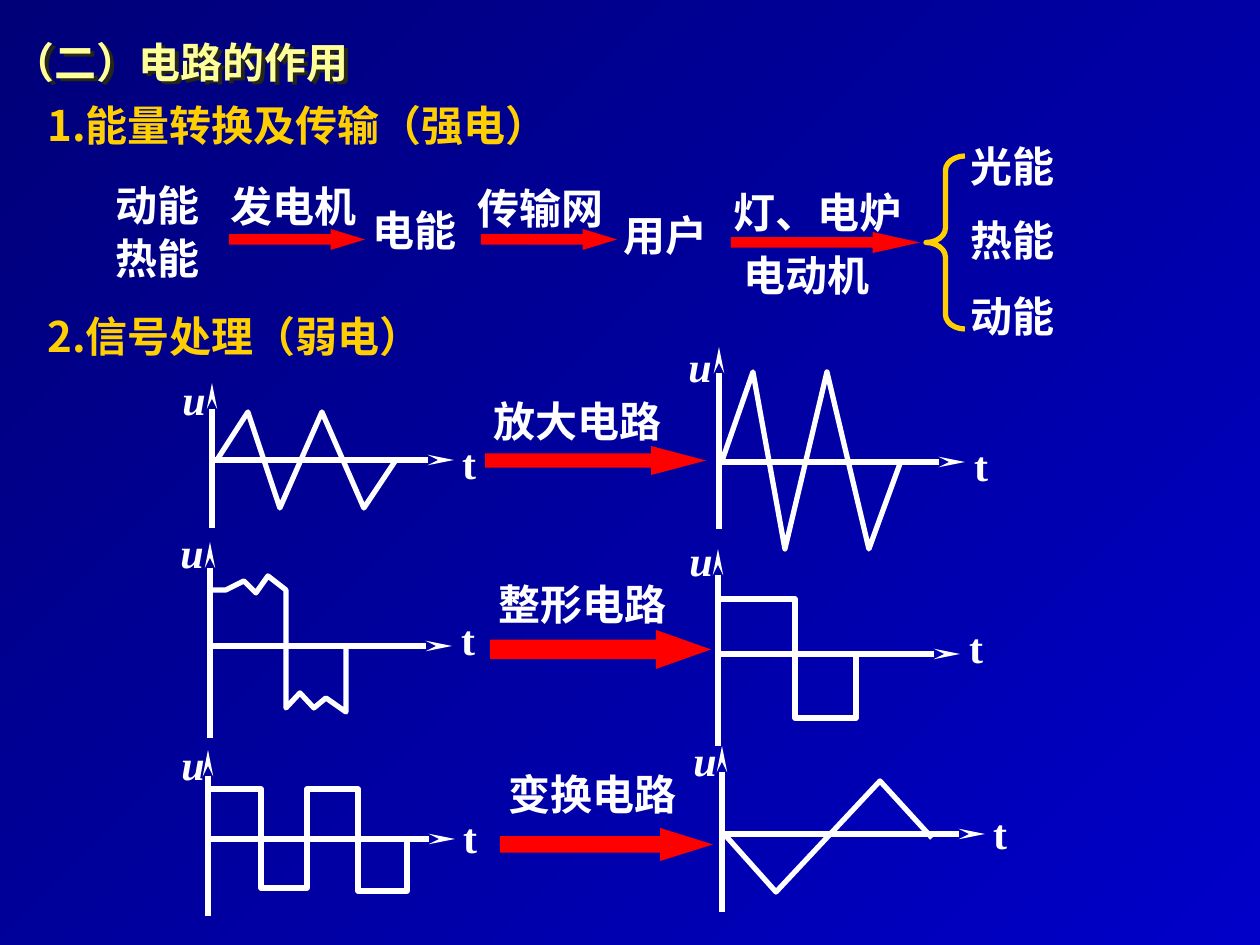
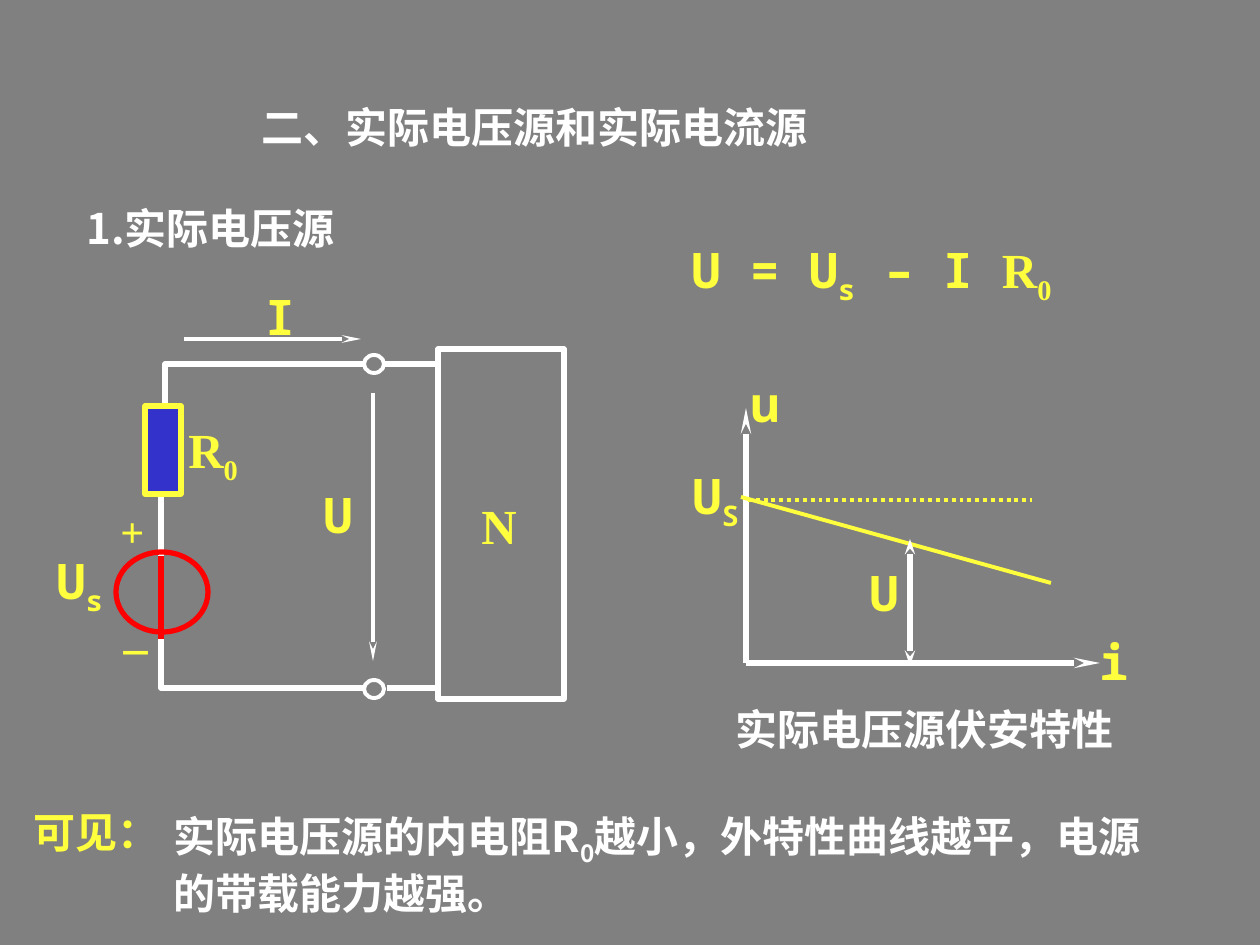
from itertools import zip_longest
from lxml.etree import SubElement as Sub
from pptx import Presentation
from pptx.dml.color import RGBColor as RGB
from pptx.enum.dml import MSO_LINE as Dash
from pptx.enum.shapes import MSO_CONNECTOR as Link, MSO_SHAPE as Kind
from pptx.enum.text import MSO_ANCHOR as Anchor, MSO_AUTO_SIZE as Fit, PP_ALIGN as Align
from pptx.oxml.ns import qn
from pptx.util import Pt

PX = 914400 / 126
CJK, MONO, TIMES = "Noto Sans CJK SC", "Noto Sans Mono", "Times New Roman"
HEX = {
    "white": "FFFFFF", "cream": "FFFF99", "gold": "FFCF01", "yellow": "FFFF3D",
    "red": "FF0000", "blue": "3333CC", "gray": "808080", "shade": "262619",
    "dark": "000078", "light": "0000C8",
}

# Slide 1: (left, top, width, text)
HEADS = [
    (35, 93, 680, "1.能量转换及传输（强电）"),
    (35, 304, 471, "2.信号处理（弱电）"),
]
WORDS = [
    (103, 173, 179, "动能"), (103, 226, 179, "热能"),
    (218, 174, 179, "发电机"), (360, 198, 179, "电能"),
    (465, 176, 179, "传输网"), (611, 203, 179, "用户"),
    (721, 180, 210, "灯、电炉"), (731, 243, 210, "电动机"),
    (958, 134, 179, "光能"), (958, 208, 179, "热能"), (958, 284, 179, "动能"),
    (481, 389, 207, "放大电路"), (486, 572, 207, "整形电路"),
    (496, 762, 207, "变换电路"),
]
# Block arrows: (left, top, width, height, head length over height)
BLOCKS = [
    (229, 229, 136, 21, 1.63), (481, 229, 136, 21, 1.63), (731, 232, 189, 21, 2.25),
    (485, 446, 221, 29, 1.89), (490, 630, 221, 39, 1.41), (500, 828, 213, 33, 1.6),
]
# Signal graphs: u axis at x from top to foot, t axis at y up to end,
# centre and top of both labels, points of the curve
GRAPHS = [
    dict(x=212, top=383, foot=528, y=460, end=454, u=(194, 367), t=(469, 431),
         curve=[(217, 460), (248, 412), (280, 508), (322, 412), (364, 508), (396, 460)]),
    dict(x=719, top=347, foot=529, y=462, end=965, u=(700, 334), t=(981, 433),
         curve=[(722, 461), (753, 372), (785, 549), (827, 372), (869, 549), (901, 461)]),
    dict(x=210, top=542, foot=738, y=646, end=452, u=(192, 520), t=(468, 607),
         curve=[(210, 590), (226, 590), (244, 581), (256, 593), (268, 576), (286, 590),
                (286, 708), (300, 693), (314, 708), (326, 698), (346, 712), (346, 648)]),
    dict(x=718, top=549, foot=746, y=654, end=960, u=(701, 528), t=(976, 615),
         curve=[(719, 599), (795, 599), (795, 718), (856, 718), (856, 654)]),
    dict(x=208, top=750, foot=916, y=839, end=455, u=(193, 732), t=(470, 805),
         curve=[(208, 789), (261, 789), (261, 888), (307, 888), (307, 789), (358, 789),
                (358, 891), (407, 891), (407, 838)]),
    dict(x=722, top=746, foot=912, y=834, end=985, u=(705, 728), t=(1000, 801),
         curve=[(725, 835), (776, 892), (880, 781), (932, 838)]),
]

# Slide 2: odd parts between bars are subscripts
NOTES = [
    (723, 697, 436, 63, "实际电压源伏安特性", "white"),
    (21, 800, 186, 63, "可见：", "yellow"),
    (161, 804, 1015, 113, "实际电压源的内电阻R|0|越小，外特性曲线越平，电源的带载能力越强。", "white"),
]
SIGNS = [
    (679, 233, 408, "U = U|s| – I ||R|0", [MONO] * 4 + [TIMES] * 2),
    (44, 544, 117, "U|s", MONO), (253, 280, 78, "I", MONO), (311, 478, 78, "U", MONO),
    (176, 413, 93, "R|0", TIMES), (469, 489, 97, "N", TIMES),
    (1087, 625, 77, "i", MONO), (738, 367, 77, "u", MONO),
    (857, 556, 77, "U", MONO), (680, 459, 105, "U|S", MONO),
]
POLES = [(108, 499, 69, "+", 24), (106, 625, 92, "－", 20)]
WIRES = [
    [(161, 556), (161, 496)],
    [(165, 403), (165, 364), (364, 364)],
    [(161, 634), (161, 688), (364, 688)],
    [(384, 364), (435, 364)],
    [(387, 688), (438, 688)],
]
# Lines: from, to, format
LINES = [
    ((161, 556), (161, 639), dict(color="red")),
    ((373, 393), (373, 661), dict(width=2.25, tail="lg")),
    ((184, 339), (361, 339), dict(width=2.25, tail="lg")),
    ((746, 663), (1100, 663), dict(tail="lg")),
    ((746, 408), (746, 663), dict(head="lg")),
    ((748, 500), (1032, 500), dict(color="yellow", width=2.25, dash=Dash.ROUND_DOT)),
    ((741, 497), (1051, 583), dict(color="yellow", width=2.25)),
    ((910, 539), (910, 666), dict(head="med", tail="med")),
]
# Shapes: kind, box, line colour, line width, fill
PARTS = [
    (Kind.RECTANGLE, (145, 406, 36, 88), "yellow", 3, "blue"),
    (Kind.RECTANGLE, (438, 349, 126, 350), "white", 3, None),
    (Kind.OVAL, (116, 552, 92, 80), "red", 3, None),
    (Kind.OVAL, (364, 355, 20, 18), "white", 2.25, None),
    (Kind.OVAL, (364, 680, 20, 18), "white", 2.25, None),
]


def rgb(name):
    return RGB.from_string(HEX[name])


def emu(*nums):
    return [round(n * PX) for n in nums]


def write(box, text, size=24, font=TIMES, color="white", ital=False,
          align=Align.LEFT, anchor=Anchor.TOP, fit=Fit.SHAPE_TO_FIT_TEXT):
    frame = box.text_frame
    frame.word_wrap, frame.auto_size = True, fit
    frame.vertical_anchor = anchor
    para = frame.paragraphs[0]
    para.alignment = align
    bits = text.split("|")
    fonts = font if isinstance(font, list) else [font] * len(bits)
    for i, (bit, face) in enumerate(zip_longest(bits, fonts)):
        if not bit:
            continue
        run = para.add_run()
        run.text = bit
        form = run.font
        form.size, form.bold, form.italic = Pt(size), True, ital
        form.color.rgb, form.name = rgb(color), face
        props = run._r.get_or_add_rPr()
        Sub(props, qn("a:ea"), typeface=CJK)
        if i % 2:
            props.set("baseline", "-25000")


def label(slide, x, y, w, text, h=63, **form):
    write(slide.shapes.add_textbox(*emu(x, y, w, h)), text, **form)


def paint(shape, line=None, width=3, fill=None):
    shape.shadow.inherit = False
    if fill:
        shape.fill.solid()
        shape.fill.fore_color.rgb = rgb(fill)
    else:
        shape.fill.background()
    if line:
        shape.line.color.rgb, shape.line.width = rgb(line), Pt(width)
    else:
        shape.line.fill.background()


def draw(slide, kind, box, *look, adj=()):
    shape = slide.shapes.add_shape(kind, *emu(*box))
    for i, val in enumerate(adj):
        shape.adjustments[i] = val
    paint(shape, *look)


def trace(slide, points):
    start, *rest = [emu(*p) for p in points]
    pen = slide.shapes.build_freeform(*start)
    pen.add_line_segments(rest, close=False)
    paint(pen.convert_to_shape(), "white")


def rule(slide, a, b, color="white", width=3, dash=None, head=None, tail=None):
    line = slide.shapes.add_connector(Link.STRAIGHT, *emu(*a, *b))
    line.line.color.rgb, line.line.width = rgb(color), Pt(width)
    if dash:
        line.line.dash_style = dash
    for tag, size in (("a:headEnd", head), ("a:tailEnd", tail)):
        if size:
            Sub(line.line._get_or_add_ln(), qn(tag), type="stealth", w="sm", len=size)
    Sub(line._element.spPr, qn("a:effectLst"))


def start(deck, title, box, color):
    slide = deck.slides.add_slide(deck.slide_layouts[5])
    head = slide.shapes.title
    head.left, head.top, head.width, head.height = emu(*box)
    write(head, title, font=CJK, color=color, anchor=Anchor.BOTTOM, fit=Fit.NONE)
    return slide


def shade(shape):
    effect = Sub(shape._element.spPr, qn("a:effectLst"))
    drop = Sub(effect, qn("a:outerShdw"), dist="38100", dir="2700000", algn="ctr")
    Sub(drop, qn("a:srgbClr"), val=HEX["shade"])


def uses(deck):
    slide = start(deck, "（二）电路的作用", (0, 18, 382, 75), "cream")
    shade(slide.shapes.title)
    back = slide.background.fill
    back.gradient()
    back.gradient_angle = 315
    for stop, name in zip(back.gradient_stops, ("dark", "light")):
        stop.color.rgb = rgb(name)

    # Energy chain
    for head in HEADS:
        label(slide, *head, font=CJK, color="gold")
    for word in WORDS:
        label(slide, *word)
    for *box, tip in BLOCKS:
        draw(slide, Kind.RIGHT_ARROW, box, None, 0, "red", adj=(0.5, tip))
    draw(slide, Kind.LEFT_BRACE, (926, 156, 39, 173), "gold", adj=(0.375, 0.5))

    # Signal graphs
    for g in GRAPHS:
        rule(slide, (g["x"], g["y"]), (g["end"], g["y"]), tail="lg")
        rule(slide, (g["x"], g["top"]), (g["x"], g["foot"]), head="lg")
        trace(slide, g["curve"])
        for name in "ut":
            mid, top = g[name]
            label(slide, mid - 47, top, 94, name, ital=name == "u", align=Align.CENTER)


def source(deck):
    slide = start(deck, "二、实际电压源和实际电流源", (249, 89, 684, 69), "white")
    slide.background.fill.solid()
    slide.background.fill.fore_color.rgb = rgb("gray")

    # Circuit and characteristic
    for wire in WIRES:
        trace(slide, wire)
    for part in PARTS:
        draw(slide, *part)
    for a, b, form in LINES:
        rule(slide, a, b, **form)

    # Words and symbols
    label(slide, 74, 194, 391, "1.实际电压源", h=67, font=CJK,
          anchor=Anchor.MIDDLE, fit=Fit.NONE)
    for x, y, w, h, text, color in NOTES:
        label(slide, x, y, w, text, h=h, font=CJK, color=color)
    for *spot, font in SIGNS:
        label(slide, *spot, h=72, size=28, font=font, color="yellow")
    for *spot, size in POLES:
        label(slide, *spot, size=size, color="yellow")


def main():
    deck = Presentation()
    deck.slide_width, deck.slide_height = emu(1260, 945)
    uses(deck)
    source(deck)
    deck.save("out.pptx")


if __name__ == "__main__":
    main()
